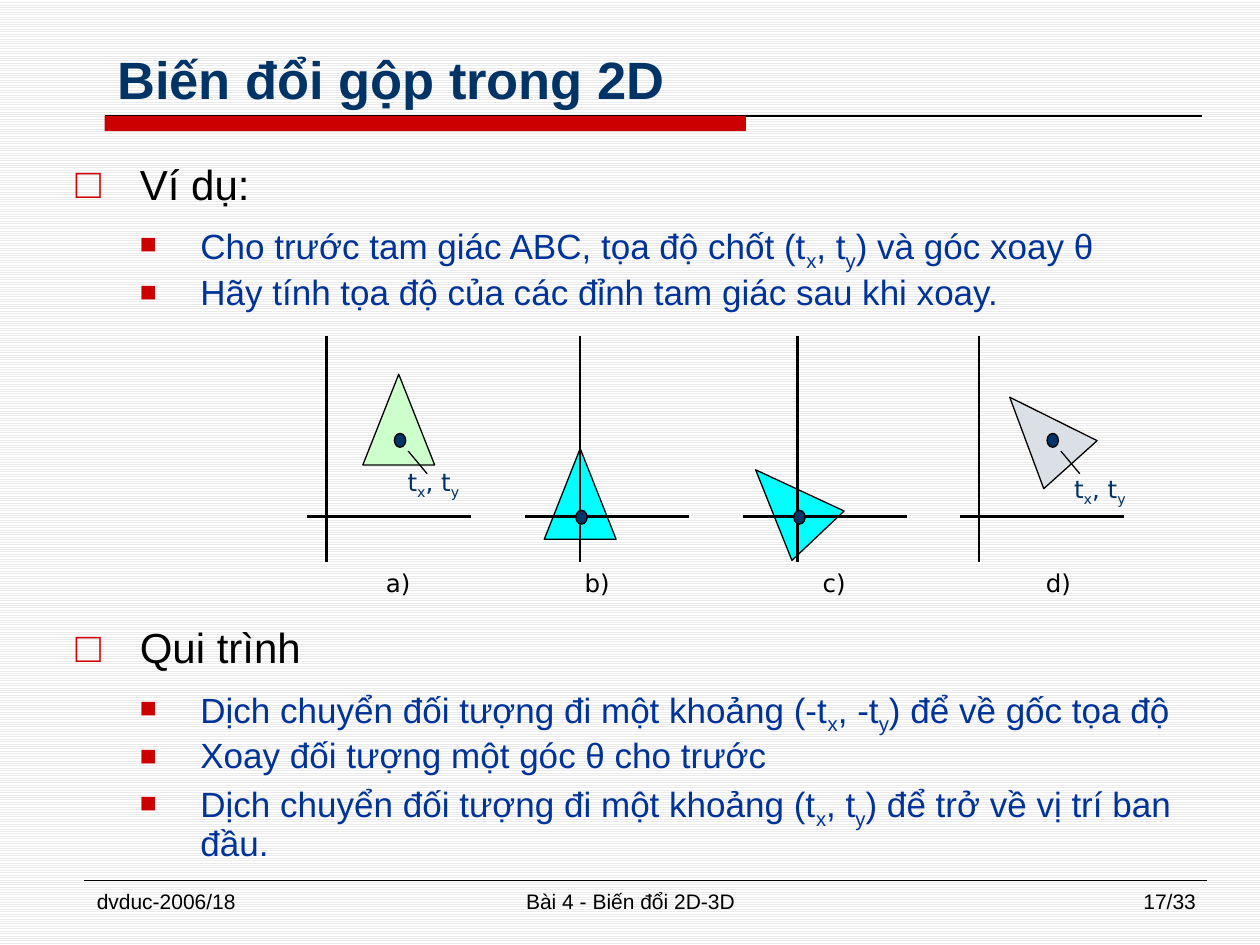
from dataclasses import dataclass

from lxml import etree
from pptx import Presentation
from pptx.dml.color import RGBColor
from pptx.enum.dml import MSO_PATTERN
from pptx.enum.shapes import MSO_CONNECTOR, MSO_SHAPE
from pptx.enum.text import MSO_ANCHOR, MSO_AUTO_SIZE, PP_ALIGN
from pptx.oxml.ns import qn
from pptx.util import Inches, Pt

LEFT, CENTER, RIGHT = PP_ALIGN.LEFT, PP_ALIGN.CENTER, PP_ALIGN.RIGHT
STRAIGHT = MSO_CONNECTOR.STRAIGHT
TRIANGLE, OVAL, RECTANGLE = MSO_SHAPE.ISOSCELES_TRIANGLE, MSO_SHAPE.OVAL, MSO_SHAPE.RECTANGLE


@dataclass(frozen=True)
class Theme:
    font: str = "Arial"
    label_font: str = "DejaVu Sans"
    black: str = "000000"
    white: str = "FFFFFF"
    stripe: str = "EAEAEA"
    red: str = "CC0000"
    navy: str = "003366"
    blue: str = "003399"
    green: str = "CCFFCC"
    cyan: str = "00FFFF"
    gray: str = "DAE0E6"
    title_size: int = 30
    heading_size: int = 24
    item_size: int = 20
    label_size: int = 14
    footer_size: int = 12


THEME = Theme()


def color(value):
    return RGBColor.from_string(value)


class SlideBuilder:
    def __init__(self, slide, theme):
        self.slide = slide
        self.theme = theme

    def background(self):
        fill = self.slide.background.fill
        fill.patterned()
        fill.pattern = MSO_PATTERN.LIGHT_HORIZONTAL
        fill.fore_color.rgb = color(self.theme.stripe)
        fill.back_color.rgb = color(self.theme.white)

    def runs(self, paragraph, text, size, text_color, font=None, bold=False):
        """Every second part between | signs becomes a subscript run."""
        for index, part in enumerate(text.split("|")):
            if not part:
                continue
            run = paragraph.add_run()
            run.text = part
            run.font.name = font or self.theme.font
            run.font.size = Pt(size)
            run.font.bold = bold
            run.font.color.rgb = color(text_color)
            if index % 2:
                run.font._element.set("baseline", "-25000")

    def place(self, shape, left, top, width, height):
        shape.left, shape.top = Inches(left), Inches(top)
        shape.width, shape.height = Inches(width), Inches(height)

    def title(self, text, *box):
        shape = self.slide.shapes.title
        self.place(shape, *box)
        frame = shape.text_frame
        frame.auto_size = MSO_AUTO_SIZE.NONE
        frame.vertical_anchor = MSO_ANCHOR.BOTTOM
        frame.paragraphs[0].alignment = LEFT
        self.runs(frame.paragraphs[0], text, self.theme.title_size, self.theme.navy, bold=True)

    def bullet(self, paragraph, character, margin, hanging, percent):
        properties = paragraph._p.get_or_add_pPr()
        properties.set("marL", str(Inches(margin)))
        properties.set("indent", str(-Inches(hanging)))
        bullet_color = etree.SubElement(properties, qn("a:buClr"))
        etree.SubElement(bullet_color, qn("a:srgbClr"), val=self.theme.red)
        etree.SubElement(properties, qn("a:buSzPct"), val=str(percent * 1000))
        etree.SubElement(properties, qn("a:buFont"), typeface=self.theme.font)
        etree.SubElement(properties, qn("a:buChar"), char=character)

    def body(self, sections, *box):
        """Each section is a heading, the space before it in points, and its items."""
        shape = self.slide.placeholders[1]
        self.place(shape, *box)
        frame = shape.text_frame
        frame.auto_size = MSO_AUTO_SIZE.NONE
        paragraph = frame.paragraphs[0]
        for number, (heading, gap, items) in enumerate(sections):
            if number:
                paragraph = frame.add_paragraph()
            paragraph.line_spacing = 0.9
            paragraph.space_before, paragraph.space_after = Pt(gap), Pt(5)
            self.bullet(paragraph, "□", 0.51, 0.51, 100)
            self.runs(paragraph, heading, self.theme.heading_size, self.theme.black)
            for item in items:
                paragraph = frame.add_paragraph()
                paragraph.level = 1
                paragraph.line_spacing = 0.9
                paragraph.space_before, paragraph.space_after = Pt(4), Pt(0)
                self.bullet(paragraph, "■", 0.99, 0.48, 80)
                self.runs(paragraph, item, self.theme.item_size, self.theme.blue)

    def text(self, text, left, top, width, height, size, text_color, font, alignment, spacing=0):
        shape = self.slide.shapes.add_textbox(
            Inches(left), Inches(top), Inches(width), Inches(height))
        shape.text_frame.word_wrap = True
        paragraph = shape.text_frame.paragraphs[0]
        paragraph.alignment = alignment
        paragraph.space_before = paragraph.space_after = Pt(spacing)
        self.runs(paragraph, text, size, text_color, font)

    def label(self, text, left, top, text_color):
        self.text(text, left, top, 0.86, 0.54, self.theme.label_size, text_color,
                  self.theme.label_font, CENTER, 1)

    def footer(self, text, left, width, alignment):
        self.text(text, left, 7, width, 0.35, self.theme.footer_size, self.theme.black,
                  self.theme.font, alignment)

    def line(self, x1, y1, x2, y2, width=0.75):
        connector = self.slide.shapes.add_connector(
            STRAIGHT, Inches(x1), Inches(y1), Inches(x2), Inches(y2))
        connector.line.color.rgb = color(self.theme.black)
        connector.line.width = Pt(width)
        etree.SubElement(connector._element.spPr, qn("a:effectLst"))

    def shape(self, kind, left, top, width, height, fill, outlined=True, rotation=0):
        shape = self.slide.shapes.add_shape(
            kind, Inches(left), Inches(top), Inches(width), Inches(height))
        shape.shadow.inherit = False
        shape.rotation = rotation
        shape.fill.solid()
        shape.fill.fore_color.rgb = color(fill)
        if outlined:
            shape.line.color.rgb = color(self.theme.black)
            shape.line.width = Pt(0.75)
        else:
            shape.line.fill.background()

    def panel(self, axis_x, axis_left, axis_width, triangle, dot):
        left, top, rotation, fill = triangle
        self.shape(TRIANGLE, left, top, 0.57, 0.72, fill, rotation=rotation)
        self.line(axis_x, 2.67, axis_x, 4.46, axis_width)
        self.line(axis_left, 4.1, axis_left + 1.3, 4.1, axis_width)
        self.shape(OVAL, *dot, 0.09, 0.11, self.theme.navy)

    def pivot(self, dot, label_left, label_top):
        x, y = dot[0] + 0.11, dot[1] + 0.14
        self.line(x, y, x + 0.15, y + 0.18)
        self.label("t|x|, t|y|", label_left, label_top, self.theme.navy)


SECTIONS = [
    ("Ví dụ:", 1, [
        "Cho trước tam giác ABC, tọa độ chốt (t|x|, t|y|) và góc xoay θ",
        "Hãy tính tọa độ của các đỉnh tam giác sau khi xoay.",
    ]),
    ("Qui trình", 180, [
        "Dịch chuyển đối tượng đi một khoảng (-t|x|, -t|y|) để về gốc tọa độ",
        "Xoay đối tượng một góc θ cho trước",
        "Dịch chuyển đối tượng đi một khoảng (t|x|, t|y|) để trở về vị trí ban đầu.",
    ]),
]
START_DOT, END_DOT = (3.13, 3.44), (8.31, 3.44)
# axis x, axis left, axis width, triangle (left, top, rotation, fill), dot, caption, caption left
PANELS = [
    (2.59, 2.44, 1.5, (2.88, 2.97, 0, THEME.green), START_DOT, "a)", 2.73),
    (4.6, 4.17, 1.25, (4.32, 3.56, 0, THEME.cyan), (4.57, 4.05), "b)", 4.31),
    (6.33, 5.9, 1.25, (5.96, 3.63, 316.6, THEME.cyan), (6.3, 4.05), "c)", 6.19),
    (7.77, 7.62, 1.5, (7.97, 3.06, 318, THEME.gray), END_DOT, "d)", 7.97),
]


def main():
    presentation = Presentation()
    presentation.slide_width, presentation.slide_height = Inches(10), Inches(7.5)
    slide = presentation.slides.add_slide(presentation.slide_layouts[1])
    builder = SlideBuilder(slide, THEME)
    builder.background()
    builder.line(0.83, 0.92, 9.54, 0.92)
    builder.shape(RECTANGLE, 0.83, 0.92, 5.09, 0.12, THEME.red, outlined=False)
    builder.line(0.67, 6.99, 9.58, 6.99, 0.25)
    builder.title("Biến đổi gộp trong 2D", 0.83, 0.17, 9, 0.75)
    builder.body(SECTIONS, 0.5, 1.25, 9.33, 5.67)
    for *geometry, caption, caption_left in PANELS:
        builder.panel(*geometry)
        builder.label(caption, caption_left, 4.46, THEME.black)
    builder.pivot(START_DOT, 3.01, 3.66)
    builder.pivot(END_DOT, 8.3, 3.71)
    builder.footer("dvduc-2006/18", 0.67, 2.17, LEFT)
    builder.footer("Bài 4 - Biến đổi 2D-3D", 3.42, 3.17, CENTER)
    builder.footer("17/33", 7.42, 2.17, RIGHT)
    presentation.save("out.pptx")


if __name__ == "__main__":
    main()
